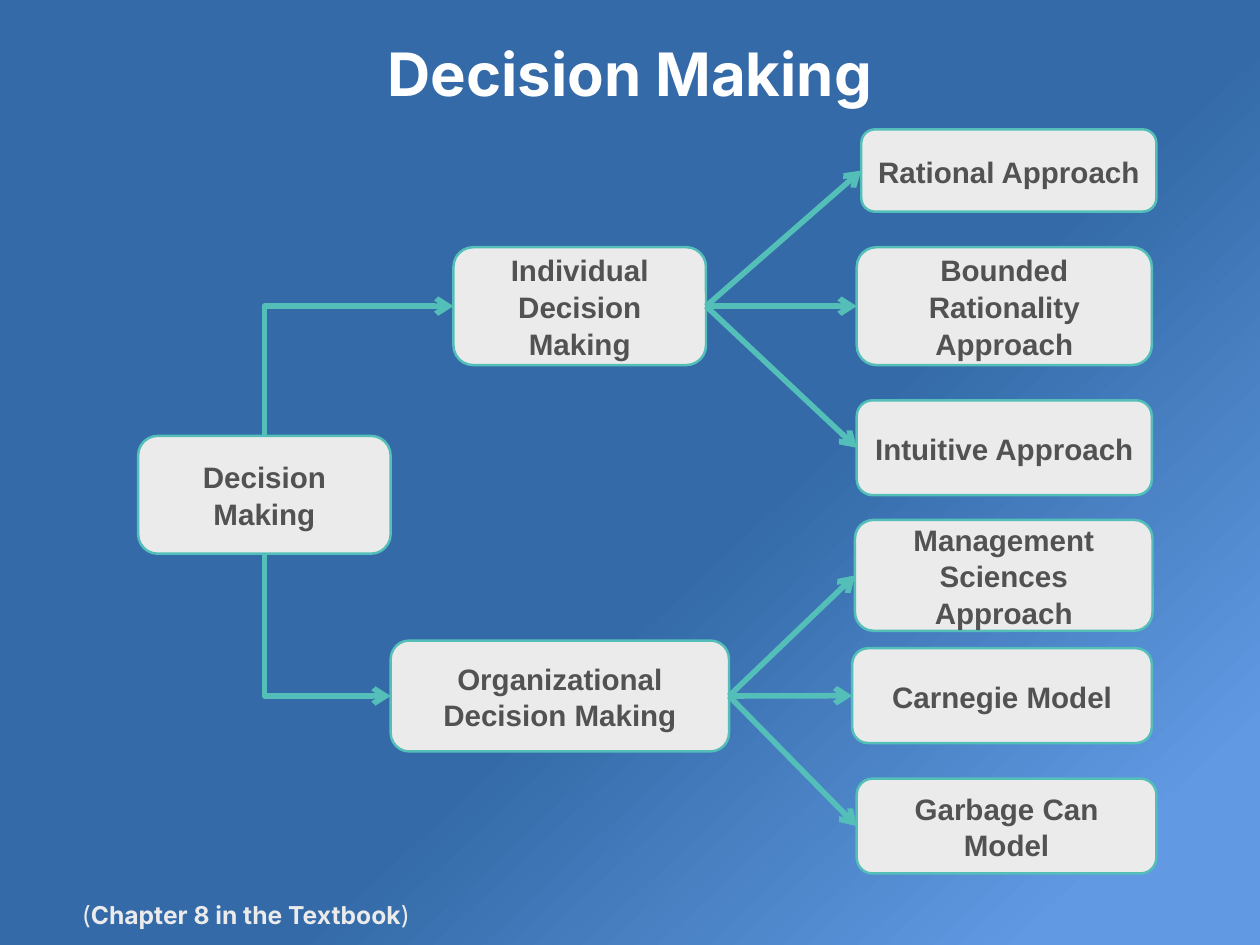
from lxml.etree import SubElement
from pptx import Presentation
from pptx.dml.color import RGBColor
from pptx.enum.shapes import MSO_CONNECTOR as Connector, MSO_SHAPE as Shape
from pptx.enum.text import MSO_ANCHOR as Anchor, MSO_AUTO_SIZE as AutoSize, PP_ALIGN as Align
from pptx.oxml.ns import qn
from pptx.util import Cm, Pt

COLORS = {
    "background_dark": "336AA7",
    "background_light": "619AE3",
    "title": "FFFFFF",
    "note": "EBEBEB",
    "node": "EBEBEB",
    "node_text": "525252",
    "teal": "54BFB9",
}
TOP, LEFT, BOTTOM, RIGHT = range(4)  # connection sites of a rounded rectangle

# Boxes are (left, top, width, height) in cm, relative to the tree
ROOT = ("Decision Making", (0, 8.79, 7.24, 3.38))
BRANCHES = [
    ("Individual Decision Making", (9.04, 3.38, 7.24, 3.38), [
        ("Rational Approach", (20.73, 0, 8.46, 2.36)),
        ("Bounded Rationality Approach", (20.6, 3.38, 8.46, 3.38)),
        ("Intuitive Approach", (20.6, 7.77, 8.46, 2.72)),
    ]),
    ("Organizational Decision Making", (7.24, 14.66, 9.7, 3.18), [
        ("Management Sciences Approach", (20.55, 11.2, 8.53, 3.18)),
        ("Carnegie Model", (20.47, 14.88, 8.59, 2.72)),
        ("Garbage Can Model", (20.6, 18.62, 8.59, 2.72)),
    ]),
]


def color(name):
    """Return the named colour."""
    return RGBColor.from_string(COLORS[name])


def format_run(run, font, size, color_name, bold=True):
    """Set the font, size, colour and weight of a run."""
    run.font.name = font
    run.font.size = Pt(size)
    run.font.bold = bold
    run.font.color.rgb = color(color_name)


def paint_background(slide):
    """Fill the background with a diagonal blue gradient."""
    fill = slide.background.fill
    fill.gradient()
    fill.gradient_angle = 360 - 47
    stops = [(0.57, "background_dark"), (0.9, "background_light")]
    for stop, (position, name) in zip(fill.gradient_stops, stops):
        stop.position = position
        stop.color.rgb = color(name)


def add_title(slide, box):
    """Add the centred slide title in the box."""
    text_frame = slide.shapes.add_textbox(*map(Cm, box)).text_frame
    text_frame.word_wrap = True
    text_frame.vertical_anchor = Anchor.MIDDLE
    text_frame.text = "Decision Making"
    paragraph = text_frame.paragraphs[0]
    paragraph.alignment = Align.CENTER
    format_run(paragraph.runs[0], "Inter", 48.6, "title")


def add_chapter_note(slide, box):
    """Add the textbook reference in the box."""
    text_frame = slide.shapes.add_textbox(*map(Cm, box)).text_frame
    text_frame.word_wrap = True
    text_frame.auto_size = AutoSize.SHAPE_TO_FIT_TEXT
    paragraph = text_frame.paragraphs[0]
    paragraph.alignment = Align.CENTER
    for text, bold in [("(", False), ("Chapter 8 in the Textbook", True), (")", False)]:
        run = paragraph.add_run()
        run.text = text
        format_run(run, "Inter", 20, "note", bold)


def add_node(slide, text, box, origin):
    """Add a rounded box, placed relative to the origin, and return it."""
    left, top, width, height = box
    node = slide.shapes.add_shape(
        Shape.ROUNDED_RECTANGLE,
        Cm(origin[0] + left), Cm(origin[1] + top), Cm(width), Cm(height))
    node.shadow.inherit = False
    node.fill.solid()
    node.fill.fore_color.rgb = color("node")
    node.line.color.rgb = color("teal")
    node.line.width = Pt(2)
    text_frame = node.text_frame
    text_frame.word_wrap = True
    text_frame.vertical_anchor = Anchor.MIDDLE
    text_frame.text = text
    paragraph = text_frame.paragraphs[0]
    paragraph.alignment = Align.CENTER
    paragraph.line_spacing = 1.04
    format_run(paragraph.runs[0], "Arial", 24, "node_text")
    return node


def style_arrow(connector):
    """Give a connector the thick teal line and an open arrowhead."""
    connector.line.color.rgb = color("teal")
    connector.line.width = Pt(4.5)
    SubElement(connector.line._get_or_add_ln(), qn("a:tailEnd"), type="arrow")
    SubElement(connector._element.spPr, qn("a:effectLst"))


def add_straight_arrow(slide, source, target):
    """Join the right side of the source to the left side of the target."""
    connector = slide.shapes.add_connector(Connector.STRAIGHT, 0, 0, 0, 0)
    connector.begin_connect(source, RIGHT)
    connector.end_connect(target, LEFT)
    style_arrow(connector)


def add_bent_arrow(slide, source, target):
    """Run vertically from the source, then right to the target's left side."""
    start_x = source.left + source.width // 2
    end_y = target.top + target.height // 2
    upward = end_y < source.top
    start_y = source.top if upward else source.top + source.height
    center_x, center_y = (start_x + target.left) // 2, (start_y + end_y) // 2
    # The one-bend preset starts horizontally, so it is drawn turned by 90 degrees
    half_width = abs(end_y - start_y) // 2
    half_height = (target.left - start_x) // 2 * (1 if upward else -1)
    connector = slide.shapes.add_connector(
        Connector.ELBOW,
        center_x + half_width, center_y + half_height,
        center_x - half_width, center_y - half_height)
    properties = connector._element.spPr
    properties.find(qn("a:prstGeom")).set("prst", "bentConnector2")
    properties.find(qn("a:xfrm")).set("rot", str((90 if upward else 270) * 60000))
    style_arrow(connector)


def add_decision_tree(slide, box):
    """Add the tree of decision-making approaches from the box's top left."""
    origin = box[:2]
    root = add_node(slide, *ROOT, origin)
    for text, branch_box, approaches in BRANCHES:
        branch = add_node(slide, text, branch_box, origin)
        add_bent_arrow(slide, root, branch)
        for approach in approaches:
            add_straight_arrow(slide, branch, add_node(slide, *approach, origin))


presentation = Presentation()
presentation.slide_width = Cm(36.12)
presentation.slide_height = Cm(27.1)
slide = presentation.slides.add_slide(presentation.slide_layouts[6])
paint_background(slide)
add_title(slide, (2.11, 1.07, 31.9, 2))
add_chapter_note(slide, (0.41, 25.68, 13.28, 1.12))
add_decision_tree(slide, (3.96, 3.71, 29.2, 21.34))
presentation.save("out.pptx")
